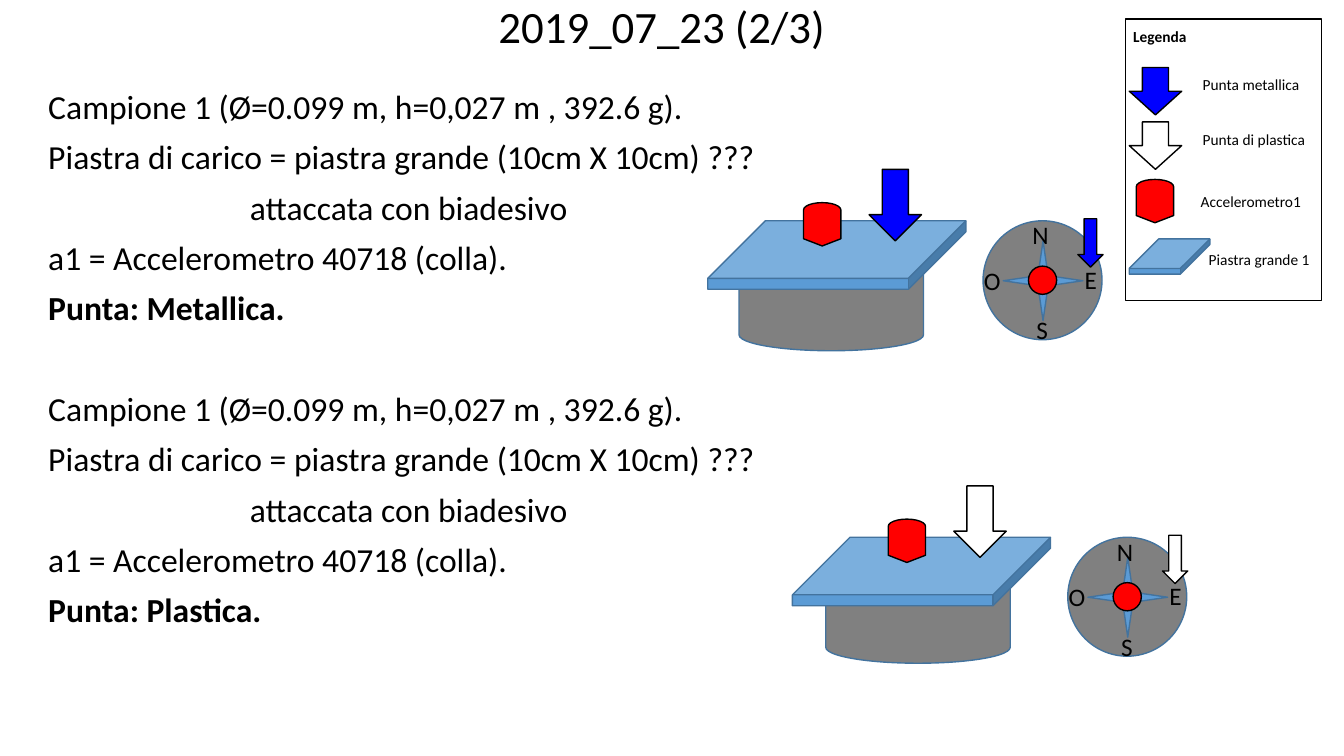
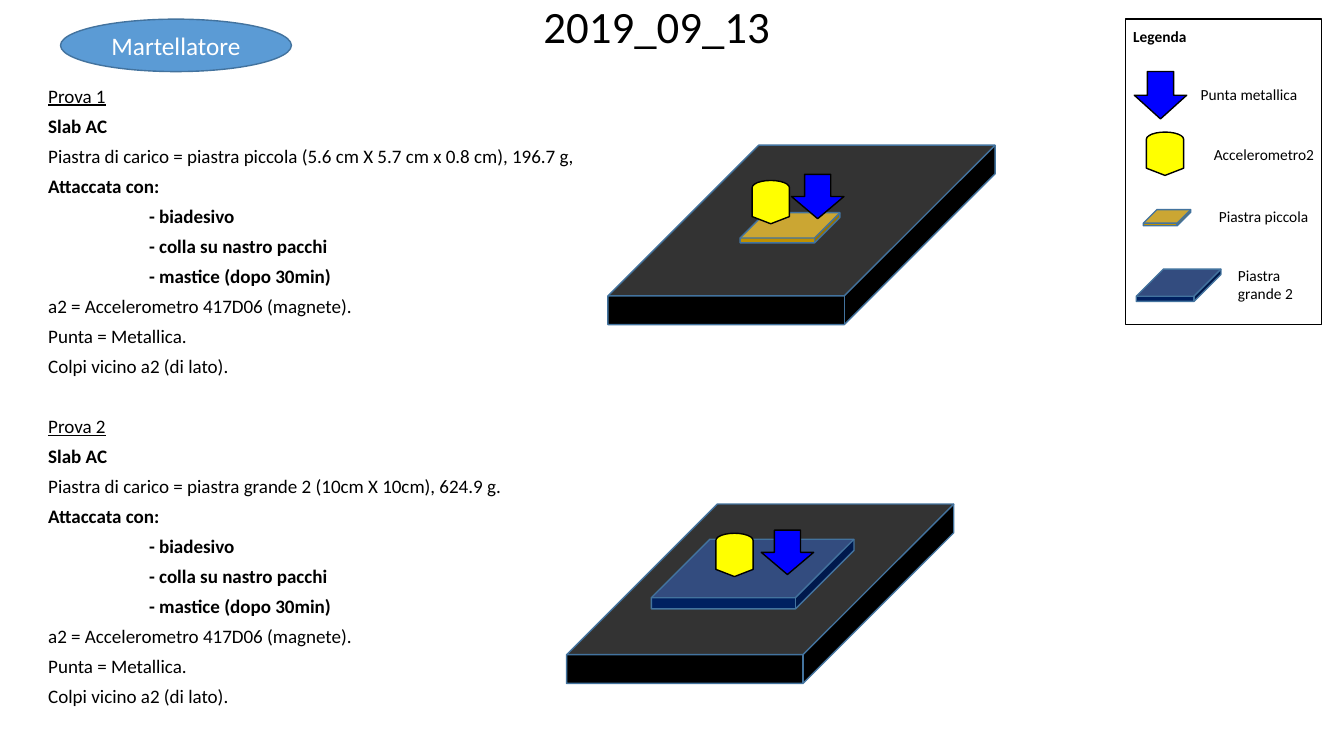
from dataclasses import dataclass

from pptx import Presentation
from pptx.dml.color import RGBColor
from pptx.enum.shapes import MSO_SHAPE
from pptx.enum.text import MSO_ANCHOR, PP_ALIGN
from pptx.util import Pt

PX = 9144  # EMU per px, 100 px to the inch
FONT = "Calibri"

BLACK = RGBColor(0x00, 0x00, 0x00)
WHITE = RGBColor(0xFF, 0xFF, 0xFF)
BLUE = RGBColor(0x00, 0x00, 0xFF)
RED = RGBColor(0xFF, 0x00, 0x00)
YELLOW = RGBColor(0xFF, 0xFF, 0x00)
GRAY = RGBColor(0x80, 0x80, 0x80)
SKY = RGBColor(0x5B, 0x9B, 0xD5)
EDGE = RGBColor(0x43, 0x73, 0x9E)
NAVY = RGBColor(0x00, 0x20, 0x60)
GOLD = RGBColor(0xBF, 0x90, 0x00)

ARROW = MSO_SHAPE.DOWN_ARROW
CUBE = MSO_SHAPE.CUBE
CYLINDER = MSO_SHAPE.FLOWCHART_MAGNETIC_DISK
DISPLAY = MSO_SHAPE.FLOWCHART_DISPLAY
DOT = MSO_SHAPE.FLOWCHART_CONNECTOR
ELLIPSE = MSO_SHAPE.OVAL
RECT = MSO_SHAPE.RECTANGLE
STAR = MSO_SHAPE.STAR_4_POINT
LEFT, CENTER = PP_ALIGN.LEFT, PP_ALIGN.CENTER
TOP, MIDDLE = MSO_ANCHOR.TOP, MSO_ANCHOR.MIDDLE


@dataclass(frozen=True)
class Figure:
    kind: MSO_SHAPE
    x: int
    y: int
    w: int
    h: int
    fill: RGBColor | None
    line: RGBColor = BLACK
    adj: float | None = None
    rotation: int = 0


@dataclass(frozen=True)
class Label:
    text: str
    x: int
    y: int
    w: int = 130
    h: int = 29


@dataclass(frozen=True)
class Line:
    text: str
    bold: bool = False
    underline: bool = False
    indent: int = 0
    gap: bool = False


@dataclass(frozen=True)
class Rig:
    """Loaded sample: plate corner, cylinder corner and tip colour."""
    x: int
    y: int
    cylinder_x: int
    cylinder_y: int
    tip: RGBColor


def cube(x: int, y: int, w: int, h: int, fill: RGBColor) -> Figure:
    return Figure(CUBE, x, y, w, h, fill, EDGE, 0.84)


def sensor(x: int, y: int, fill: RGBColor) -> Figure:
    return Figure(DISPLAY, x, y, 43, 37, fill, rotation=270)


def tip(x: int, y: int, fill: RGBColor, w: int = 52, h: int = 47) -> Figure:
    return Figure(ARROW, x, y, w, h, fill)


def write(tf, text: str, *, size: float, bold: bool = False, underline: bool = False,
          color: RGBColor = BLACK, align: PP_ALIGN = LEFT, spacing: float = 1.0,
          before: float = 0, indent: int = 0) -> None:
    """Append a formatted paragraph, filling the first one if it is empty."""
    first = not tf.text
    p = tf.paragraphs[0] if first else tf.add_paragraph()
    p.alignment = align
    p.line_spacing = spacing
    p.space_before = Pt(0 if first else before)
    if indent:
        p._p.get_or_add_pPr().set("marL", str(indent * PX))
    r = p.add_run()
    r.text = text
    r.font.name = FONT
    r.font.size = Pt(size)
    r.font.bold = bold
    r.font.underline = underline
    r.font.color.rgb = color


def add_box(s, x: int, y: int, w: int, h: int):
    tf = s.shapes.add_textbox(x * PX, y * PX, w * PX, h * PX).text_frame
    tf.word_wrap = True
    tf.vertical_anchor = TOP
    return tf


def add_label(s, label: Label, size: float = 11, bold: bool = False) -> None:
    tf = add_box(s, label.x, label.y, label.w, label.h)
    write(tf, label.text, size=size, bold=bold)


def add_figure(s, f: Figure):
    sp = s.shapes.add_shape(f.kind, f.x * PX, f.y * PX, f.w * PX, f.h * PX)
    sp.shadow.inherit = False
    if f.fill is None:
        sp.fill.background()
    else:
        sp.fill.solid()
        sp.fill.fore_color.rgb = f.fill
    sp.line.color.rgb = f.line
    sp.line.width = Pt(1)
    sp.rotation = f.rotation
    if f.adj is not None:
        sp.adjustments[0] = f.adj
    return sp


def add_title(s, text: str, shift: int) -> None:
    """Centre the title, with extra right margin to move it left."""
    tf = add_box(s, 0, 0, 1333, 85)
    tf.margin_right = (10 + shift) * PX
    write(tf, text, size=32, align=CENTER, spacing=0.9)


def add_body(s, lines: list[Line], size: float, spacing: float, gap: float) -> None:
    tf = add_box(s, 38, 85, 1259, 652)
    for line in lines:
        write(tf, line.text, size=size, bold=line.bold, underline=line.underline,
              spacing=spacing, before=gap if line.gap else 10, indent=line.indent)


def add_legend(s, height: int, entries: list[tuple[Figure, Label]]) -> None:
    add_figure(s, Figure(RECT, 1116, 19, 195, height, None))
    add_label(s, Label("Legenda", 1114, 22), bold=True)
    for figure, label in entries:
        add_figure(s, figure)
        add_label(s, label)


def add_rig(s, rig: Rig) -> None:
    x, y = rig.x, rig.y
    add_figure(s, Figure(CYLINDER, rig.cylinder_x, rig.cylinder_y, 183, 95, GRAY, EDGE))
    add_figure(s, Figure(ELLIPSE, x + 273, y, 118, 118, GRAY, EDGE))
    add_figure(s, Figure(STAR, x + 293, y + 20, 79, 79, SKY, EDGE, 0.09))
    for letter, dx, dy in (("N", 312, -6), ("O", 264, 39), ("E", 364, 38), ("S", 316, 88)):
        add_label(s, Label(letter, x + dx, y + dy, 39, 40), size=18)
    for figure in (
        tip(x + 367, y - 2, rig.tip, 25, 48),
        cube(x, y, 256, 68, SKY),
        tip(x + 160, y - 51, rig.tip, 52, 71),
        sensor(x + 92, y - 15, RED),
        Figure(DOT, x + 318, y + 45, 28, 28, RED),
    ):
        add_figure(s, figure)


def sample_lines(tip_name: str, gap: bool = False) -> list[Line]:
    return [
        Line("Campione 1 (Ø=0.099 m, h=0,027 m , 392.6 g).", gap=gap),
        Line("Piastra di carico = piastra grande (10cm X 10cm) ???"),
        Line("attaccata con biadesivo", indent=200),
        Line("a1 = Accelerometro 40718 (colla)."),
        Line(f"Punta: {tip_name}.", bold=True),
    ]


def trial_lines(number: int, plate: str, gap: bool = False) -> list[Line]:
    glues = ("biadesivo", "colla su nastro pacchi", "mastice (dopo 30min)")
    return [
        Line(f"Prova {number}", underline=True, gap=gap),
        Line("Slab AC", bold=True),
        Line(f"Piastra di carico = piastra {plate}"),
        Line("Attaccata con:", bold=True),
        *(Line(f"- {glue}", bold=True, indent=100) for glue in glues),
        Line("a2 = Accelerometro 417D06 (magnete)."),
        Line("Punta = Metallica."),
        Line("Colpi vicino a2 (di lato)."),
    ]


def build_july(s) -> None:
    add_title(s, "2019_07_23 (2/3)", 20)
    add_body(s, sample_lines("Metallica") + sample_lines("Plastica", gap=True),
             size=24, spacing=0.9, gap=46)
    add_legend(s, 279, [
        (tip(1120, 67, BLUE), Label("Punta metallica", 1183, 70)),
        (tip(1120, 121, WHITE), Label("Punta di plastica", 1183, 124)),
        (sensor(1124, 181, RED), Label("Accelerometro1", 1181, 186)),
        (cube(1120, 237, 80, 35, SKY), Label("Piastra grande 1", 1189, 243)),
    ])
    for rig in (Rig(702, 219, 733, 253, BLUE), Rig(786, 533, 819, 563, WHITE)):
        add_rig(s, rig)


def build_september(s) -> None:
    add_title(s, "2019_09_13", 30)
    add_body(s, trial_lines(1, "piccola (5.6 cm X 5.7 cm x 0.8 cm), 196.7 g,")
             + trial_lines(2, "grande 2 (10cm X 10cm), 624.9 g.", gap=True),
             size=13.6, spacing=0.7, gap=31.6)
    add_legend(s, 303, [
        (tip(1125, 71, BLUE), Label("Punta metallica", 1181, 80)),
        (sensor(1134, 134, YELLOW), Label("Accelerometro2", 1194, 139)),
        (cube(1134, 208, 47, 16, GOLD), Label("Piastra piccola", 1199, 201, 117)),
        (cube(1127, 267, 84, 32, NAVY), Label("Piastra grande 2", 1218, 259, 79, 47)),
    ])
    badge = add_figure(s, Figure(ELLIPSE, 60, 19, 229, 52, SKY, EDGE))
    tf = badge.text_frame
    tf.vertical_anchor = MIDDLE
    write(tf, "Martellatore", size=18, color=WHITE, align=CENTER)
    for figure in (
        cube(603, 144, 384, 178, BLACK),
        cube(734, 211, 99, 30, GOLD),
        sensor(743, 182, YELLOW),
        tip(785, 173, BLUE, h=44),
        cube(562, 500, 384, 178, BLACK),
        cube(646, 535, 201, 69, NAVY),
        sensor(707, 532, YELLOW),
        tip(755, 526, BLUE, h=44),
    ):
        add_figure(s, figure)


def main() -> None:
    prs = Presentation()
    prs.slide_width = 1333 * PX
    prs.slide_height = 750 * PX
    blank = prs.slide_layouts[6]
    for build in (build_july, build_september):
        build(prs.slides.add_slide(blank))
    prs.save("out.pptx")


if __name__ == "__main__":
    main()
